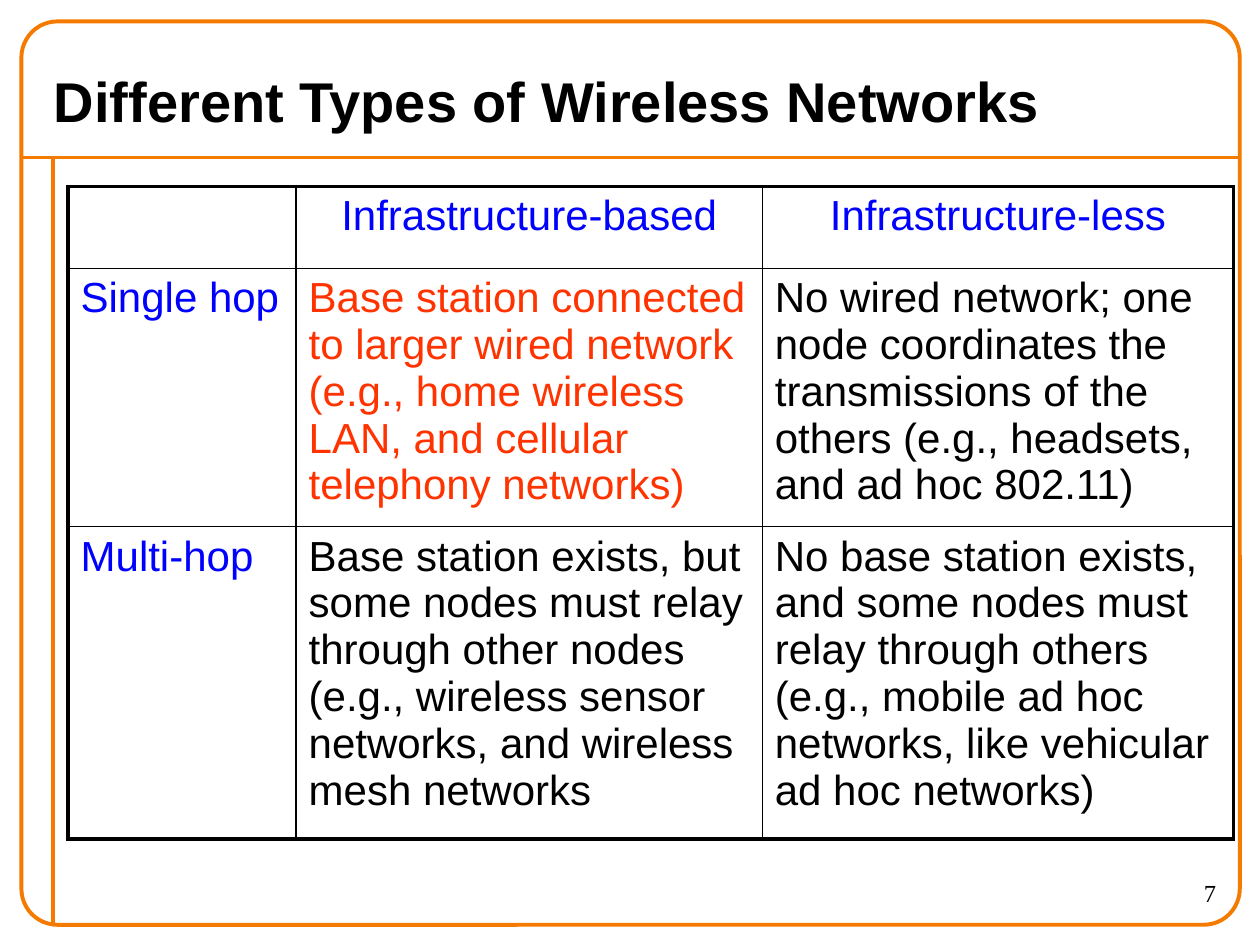
import pptx
import pptx.util
import pptx.dml.color
import pptx.enum.shapes
import pptx.enum.text
import pptx.oxml
import pptx.oxml.ns
import lxml.etree

Inches = pptx.util.Inches
Pt = pptx.util.Pt
qn = pptx.oxml.ns.qn
align = pptx.enum.text.PP_ALIGN


def color(code):
    return pptx.dml.color.RGBColor.from_string(code)


def style(para, name, size, code, side=align.LEFT):
    para.alignment = side
    para.font.name = name
    para.font.size = Pt(size)
    para.font.color.rgb = color(code)


deck = pptx.Presentation()
deck.slide_width = Inches(10)
deck.slide_height = Inches(7.5)
slide = deck.slides.add_slide(deck.slide_layouts[6])
shapes = slide.shapes

for x1, y1, x2, y2 in [(0.17, 1.25, 9.83, 1.25), (0.42, 1.25, 0.42, 7.33)]:
    rule = shapes.add_connector(
        pptx.enum.shapes.MSO_CONNECTOR.STRAIGHT,
        Inches(x1), Inches(y1), Inches(x2), Inches(y2))
    rule.line.color.rgb = color("F47A00")
    rule.line.width = Pt(2.25)
    lxml.etree.SubElement(rule.element.spPr, qn("a:effectLst"))

frame = shapes.add_shape(
    pptx.enum.shapes.MSO_SHAPE.ROUNDED_RECTANGLE,
    Inches(0.17), Inches(0.17), Inches(9.67), Inches(7.17))
frame.adjustments[0] = 0.04
frame.shadow.inherit = False
frame.fill.background()
frame.line.color.rgb = color("F47A00")
frame.line.width = Pt(2.25)

page = shapes.add_textbox(Inches(8.75), Inches(6.92), Inches(1), Inches(0.42))
page.text_frame.word_wrap = True
page.text_frame.text = "7"
style(page.text_frame.paragraphs[0], "Times New Roman", 14, "000000", align.RIGHT)

title = shapes.add_textbox(Inches(0.33), Inches(0.42), Inches(8.82), Inches(0.75))
title.text_frame.word_wrap = True
title.text_frame.vertical_anchor = pptx.enum.text.MSO_ANCHOR.MIDDLE
title.text_frame.text = "Different Types of Wireless Networks"
style(title.text_frame.paragraphs[0], "Arial", 32, "000000")
title.text_frame.paragraphs[0].font.bold = True

texts = [
    ["", "Infrastructure-based", "Infrastructure-less"],
    ["Single hop",
     "Base station connected to larger wired network (e.g., home wireless LAN, "
     "and cellular telephony networks)",
     "No wired network; one node coordinates the transmissions of the others "
     "(e.g., headsets, and ad hoc 802.11)"],
    ["Multi-hop",
     "Base station exists, but some nodes must relay through other nodes "
     "(e.g., wireless sensor networks, and wireless mesh networks",
     "No base station exists, and some nodes must relay through others "
     "(e.g., mobile ad hoc networks, like vehicular ad hoc networks)"],
]
widths = [1.81, 3.7, 3.74]
heights = [0.65, 2, 2.48]
table = shapes.add_table(
    3, 3, Inches(0.54), Inches(1.48), Inches(sum(widths)), Inches(sum(heights))).table
table.first_row = False
table.horz_banding = False
for i in range(3):
    table.columns[i].width = Inches(widths[i])
    table.rows[i].height = Inches(heights[i])

for i, row in enumerate(texts):
    for j, text in enumerate(row):
        cell = table.cell(i, j)
        cell.text = text
        cell.margin_bottom = Inches(0)
        cell.fill.background()
        code = "0000FF" if i == 0 or j == 0 else "000000"
        if (i, j) == (1, 1):
            code = "FF3300"
        side = align.CENTER if i == 0 else align.LEFT
        style(cell.text_frame.paragraphs[0], "Arial", 24, code, side)
        props = cell._tc.get_or_add_tcPr()
        outer = [("L", j == 0), ("R", j == 2), ("T", i == 0), ("B", i == 2)]
        for n, (edge, thick) in enumerate(outer):
            line = lxml.etree.Element(qn("a:ln" + edge), w=str(Pt(2.25 if thick else 1)))
            fill = lxml.etree.SubElement(line, qn("a:solidFill"))
            lxml.etree.SubElement(fill, qn("a:srgbClr"), val="000000")
            props.insert(n, line)

deck.save("out.pptx")
